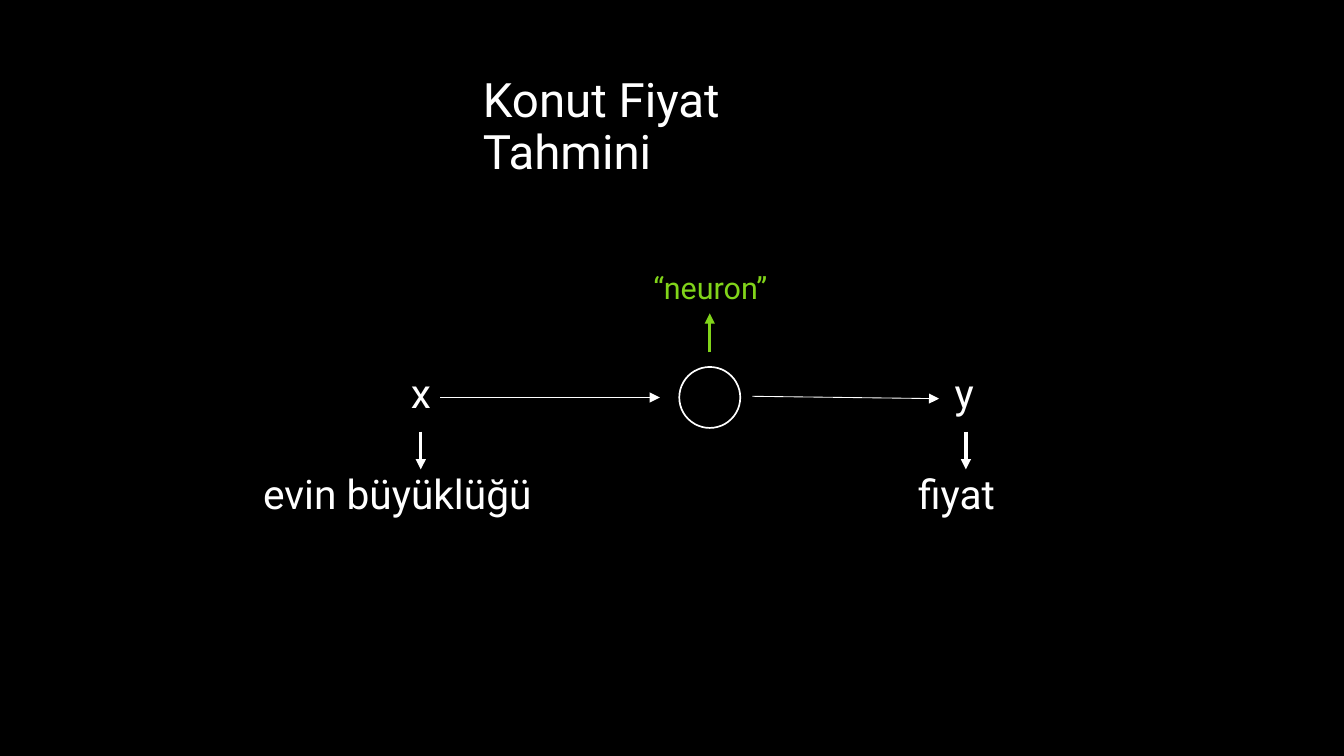
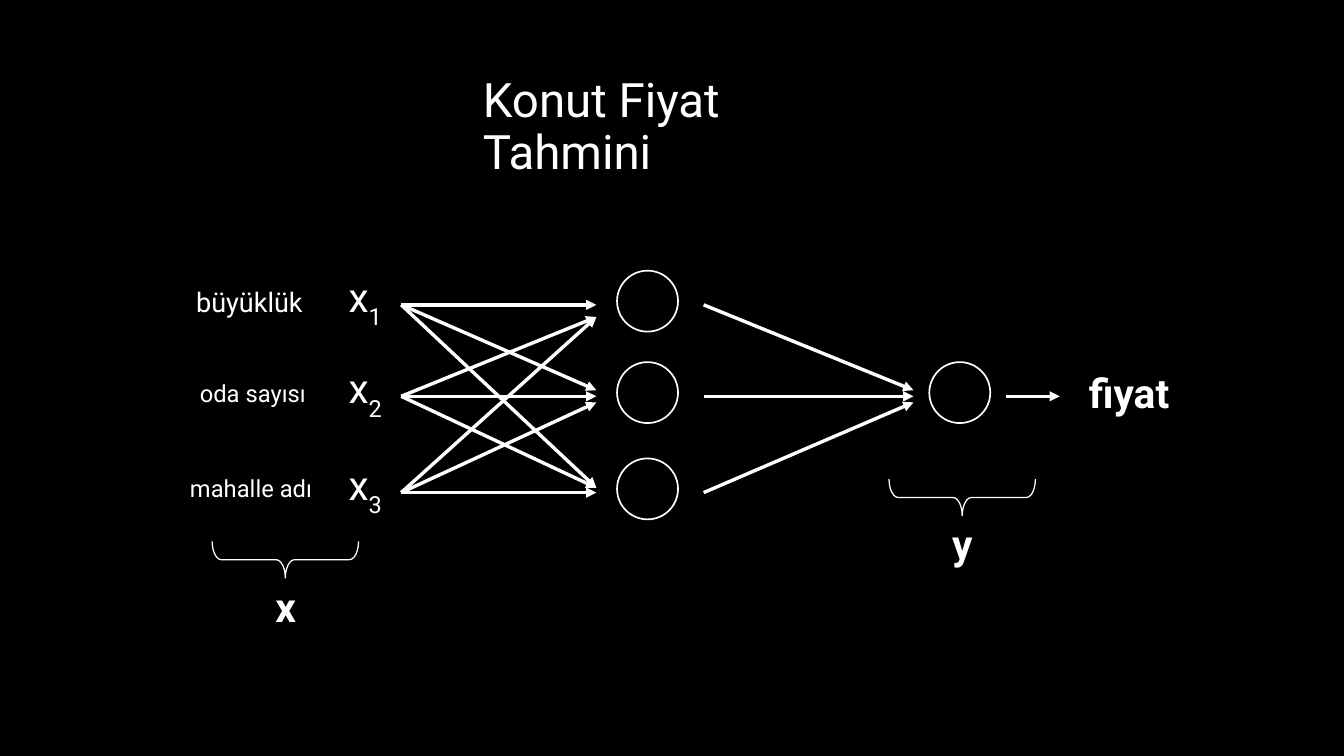
from lxml import etree
from pptx import Presentation
from pptx.dml.color import RGBColor
from pptx.enum.shapes import MSO_CONNECTOR, MSO_SHAPE
from pptx.enum.text import MSO_ANCHOR, MSO_AUTO_SIZE, PP_ALIGN
from pptx.oxml.ns import qn
from pptx.util import Inches, Pt

COLORS = {"background": "000000", "text": "FFFFFF", "accent": "81D41A"}
FONT = "Roboto"
NEURON_SIZE = 0.5
TITLE = "Konut Fiyat Tahmini"

# Network rows: arrow height, feature name, its left, top, width and text size
FEATURES = (
    (2.5, "büyüklük", 1.51, 2.29, 1.15, 16),
    (3.25, "oda sayısı", 1.54, 3.06, 1.09, 14),
    (4.04, "mahalle adı", 1.46, 3.84, 1.26, 14),
)
# Arrowhead heights at each hidden neuron, by input row
LANDINGS = ((2.5, 2.6, 2.6), (3.2, 3.25, 3.3), (4, 4, 4.04))


def rgb(name):
    return RGBColor.from_string(COLORS[name])


def style_run(r, size, color="text", bold=False):
    r.font.name = FONT
    r.font.size = Pt(size)
    r.font.bold = bold
    r.font.color.rgb = rgb(color)


def add_titled_slide(prs):
    s = prs.slides.add_slide(prs.slide_layouts[5])
    title = s.shapes.title
    title.left, title.top = Inches(3.86), Inches(0.45)
    title.width, title.height = Inches(3.29), Inches(1.2)
    tf = title.text_frame
    tf.text = TITLE
    tf.word_wrap = True
    tf.auto_size = MSO_AUTO_SIZE.NONE
    tf.vertical_anchor = MSO_ANCHOR.MIDDLE
    p = tf.paragraphs[0]
    p.alignment = PP_ALIGN.LEFT
    p.line_spacing = 0.9
    style_run(p.runs[0], 28)
    return s


def add_label(s, text, left, top, width, height=0.5, size=24, color="text",
              bold=False, wrap=True, subscript=None):
    box = s.shapes.add_textbox(Inches(left), Inches(top), Inches(width), Inches(height))
    tf = box.text_frame
    tf.text = text
    tf.word_wrap = wrap
    tf.auto_size = MSO_AUTO_SIZE.SHAPE_TO_FIT_TEXT
    p = tf.paragraphs[0]
    if subscript:
        r = p.add_run()
        r.text = subscript
        r.font._element.set("baseline", "-33000")
    for r in p.runs:
        style_run(r, size, color, bold)


def add_outline(s, preset, left, top, width, height, line_width):
    sp = s.shapes.add_shape(preset, Inches(left), Inches(top), Inches(width), Inches(height))
    sp.shadow.inherit = False
    sp.fill.background()
    sp.line.color.rgb = rgb("text")
    sp.line.width = Pt(line_width)
    return sp


def add_neuron(s, left, top):
    add_outline(s, MSO_SHAPE.OVAL, left, top, NEURON_SIZE, NEURON_SIZE, 1)


def add_brace(s, left, top):
    """Brace turned to point down."""
    brace = add_outline(s, MSO_SHAPE.LEFT_BRACE, left, top, 0.3, 1.2, 0)
    brace.rotation = 270
    brace.adjustments[0] = 0.25


def add_arrow(s, x1, y1, x2, y2, width=0, color="text"):
    line = s.shapes.add_connector(MSO_CONNECTOR.STRAIGHT, Inches(x1), Inches(y1),
                                  Inches(x2), Inches(y2))
    line.line.color.rgb = rgb(color)
    line.line.width = Pt(width)
    etree.SubElement(line.line._get_or_add_ln(), qn("a:tailEnd"), type="triangle")
    etree.SubElement(line._element.spPr, qn("a:effectLst"))


def build_single_neuron(prs):
    s = add_titled_slide(prs)
    # Input, neuron and output
    add_label(s, "x", 3.27, 2.97, 0.29)
    add_arrow(s, 3.61, 3.26, 5.41, 3.26, 0.5)
    add_neuron(s, 5.57, 3.01)
    add_arrow(s, 6.17, 3.25, 7.7, 3.27, 0.5)
    add_label(s, "y", 7.73, 2.97, 0.29)
    # Explanations
    add_arrow(s, 5.82, 2.89, 5.82, 2.57, color="accent")
    add_label(s, "“neuron”", 5.26, 2.16, 1.22, 0.44, 18, "accent", wrap=False)
    for text, left, width, x in (("evin büyüklüğü", 2.06, 2.59, 3.45),
                                 ("fiyat", 7.43, 0.87, 7.92)):
        add_arrow(s, x, 3.54, x, 3.85)
        add_label(s, text, left, 3.8, width, wrap=False)


def build_network(prs):
    s = add_titled_slide(prs)
    # Features, inputs and hidden neurons
    for i, (y, name, left, top, width, size) in enumerate(FEATURES):
        add_label(s, name, left, top, width, 0.35, size, wrap=False)
        add_label(s, "x", 2.76, y - 0.32, 0.53, 0.58, subscript=str(i + 1))
        add_neuron(s, 5.06, y - 0.28)
        for landing in LANDINGS:
            add_arrow(s, 3.29, y, 4.89, landing[i])
        add_arrow(s, 5.77, y, 7.49, LANDINGS[1][i])
    # Output
    add_neuron(s, 7.62, 2.97)
    add_arrow(s, 8.25, 3.25, 8.69, 3.25)
    add_label(s, "fiyat", 8.83, 2.97, 0.9, bold=True)
    # Braces and their names
    for name, left, top in (("x", 2.19, 3.99), ("y", 7.74, 3.48)):
        add_brace(s, left, top)
        add_label(s, name, left - 0.03, top + 0.73, 0.3, 0.55, bold=True)


def main():
    prs = Presentation()
    prs.slide_width, prs.slide_height = Inches(11.02), Inches(6.2)
    fill = prs.slide_master.background.fill
    fill.solid()
    fill.fore_color.rgb = rgb("background")
    build_single_neuron(prs)
    build_network(prs)
    prs.save("out.pptx")


if __name__ == "__main__":
    main()
